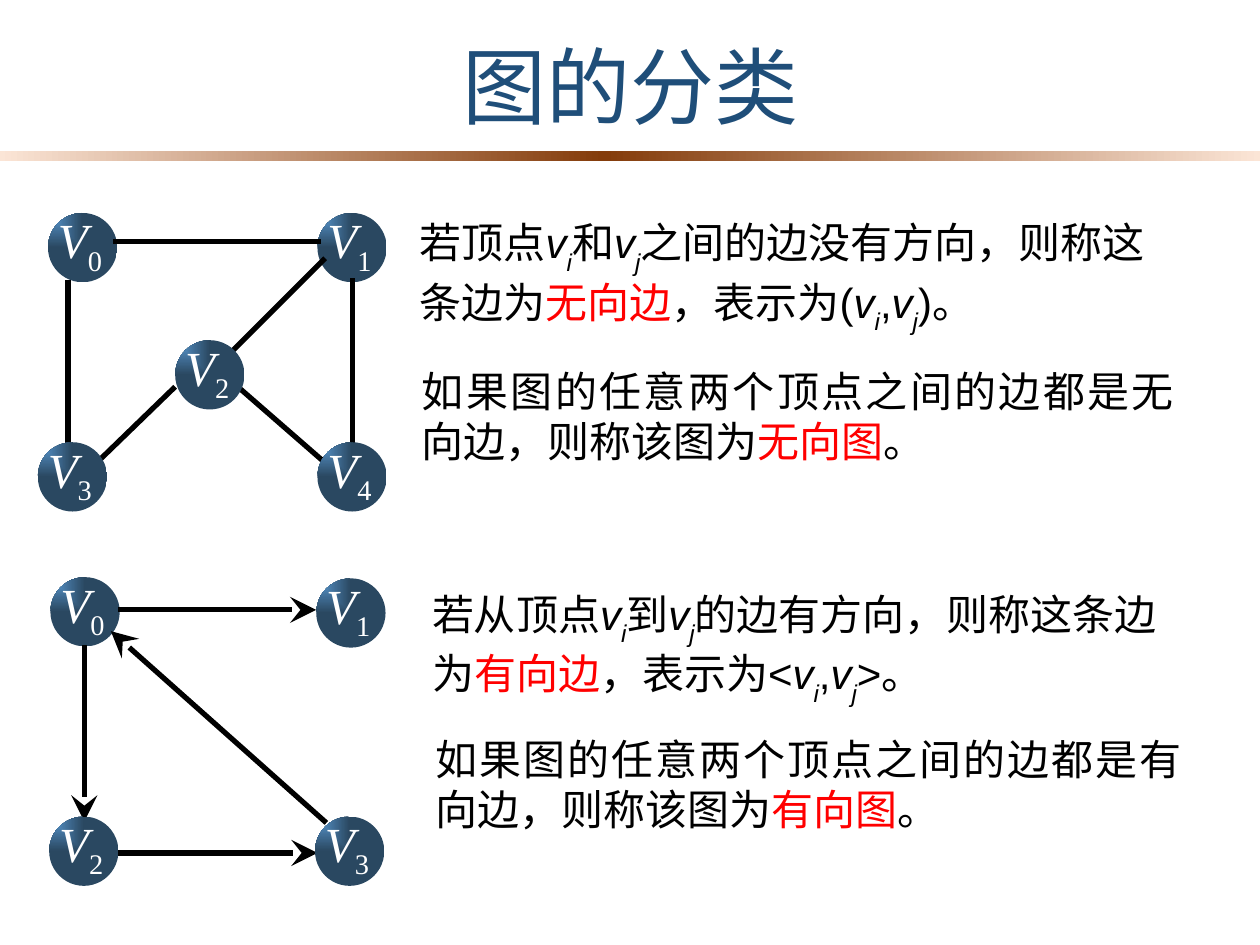
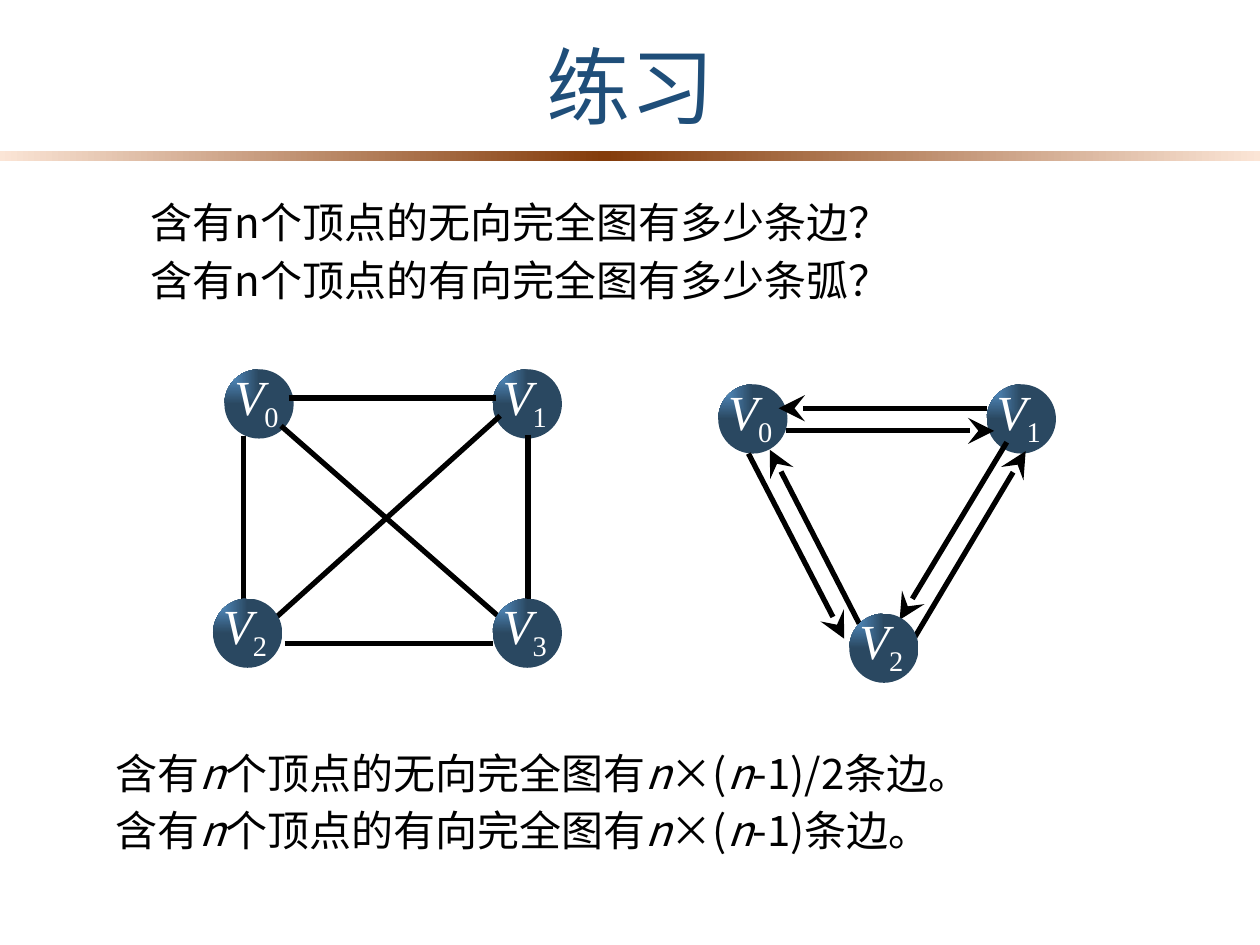
from dataclasses import dataclass

from pptx import Presentation
from pptx.dml.color import RGBColor
from pptx.enum.lang import MSO_LANGUAGE_ID as Language
from pptx.enum.shapes import MSO_CONNECTOR as Connector, MSO_SHAPE as Preset
from pptx.enum.text import MSO_ANCHOR as Anchor, MSO_AUTO_SIZE as AutoSize, PP_ALIGN as Align
from pptx.oxml import parse_xml
from pptx.oxml.ns import nsdecls, qn
from pptx.util import Pt


@dataclass(frozen=True)
class Theme:
    title: str = "1F4E79"
    ink: str = "000000"
    accent: str = "FF0000"
    label: str = "FFFFFF"
    band: tuple = ((0, "FBE5D6"), (48, "843C0B"), (100, "FBE5D6"))
    node: tuple = ((0, "5B9BD5"), (100, "2A4861"))
    font: str = "Arial"
    exercise_font: str = "Noto Sans CJK JP"
    label_font: str = "Times New Roman"
    title_size: int = 48
    body_size: int = 24
    label_size: int = 28
    edge_width: int = 3
    node_size: float = 39.6


THEME = Theme()
LINEAR = '<a:lin ang="0" scaled="0"/>'
FROM_CORNER = '<a:path path="rect"><a:fillToRect r="100000" b="100000"/></a:path>'


def add_span(para, text, size, font, color, italic=False, baseline=0):
    span = para.add_run()
    span.text = text
    span.font.size = Pt(size)
    span.font.name = font
    span.font.italic = italic
    span.font.color.rgb = RGBColor.from_string(color)
    span.font.language_id = Language.SIMPLIFIED_CHINESE
    properties = span.font._element
    properties.find(qn("a:latin")).addnext(
        parse_xml(f'<a:ea {nsdecls("a")} typeface="{font}"/>'))
    if baseline:
        properties.set("baseline", str(baseline * 1000))


def add_gradient_shape(page, preset, left, top, width, height, stops, direction):
    shape = page.shapes.add_shape(preset, Pt(left), Pt(top), Pt(width), Pt(height))
    shape.shadow.inherit = False
    shape.line.fill.background()
    marks = "".join(f'<a:gs pos="{place * 1000}"><a:srgbClr val="{color}"/></a:gs>'
                    for place, color in stops)
    shape._element.spPr.find(qn("a:prstGeom")).addnext(parse_xml(
        f'<a:gradFill {nsdecls("a")} rotWithShape="1">'
        f'<a:gsLst>{marks}</a:gsLst>{direction}</a:gradFill>'))


def add_box(page, left, top, width, height, insets):
    box = page.shapes.add_textbox(Pt(left), Pt(top), Pt(width), Pt(height))
    frame = box.text_frame
    frame.word_wrap = True
    frame.vertical_anchor = Anchor.TOP
    frame.margin_left, frame.margin_top, frame.margin_right, frame.margin_bottom = map(Pt, insets)
    return frame


def add_page(deck, title):
    page = deck.slides.add_slide(deck.slide_layouts[5])
    add_gradient_shape(page, Preset.RECTANGLE, -0.7, 86.4, 720.7, 5.8, THEME.band, LINEAR)
    box = page.shapes.title
    box.left, box.top, box.width, box.height = Pt(64.8), Pt(13.7), Pt(591), Pt(69.8)
    box.text_frame.auto_size = AutoSize.NONE
    box.text_frame.vertical_anchor = Anchor.MIDDLE
    para = box.text_frame.paragraphs[0]
    para.alignment = Align.CENTER
    para.space_before = para.space_after = Pt(10)
    add_span(para, title, THEME.title_size, THEME.font, THEME.title)
    return page


def add_text(page, place, lines, font=THEME.font, insets=(7.2, 3.6, 7.2, 3.6),
             align=Align.LEFT, pitch=None):
    styles = {
        "plain": {"color": THEME.ink},
        "term": {"color": THEME.accent},
        "symbol": {"color": THEME.ink, "italic": True},
        "index": {"color": THEME.ink, "italic": True, "baseline": -30},
    }
    frame = add_box(page, *place, insets)
    frame.auto_size = AutoSize.SHAPE_TO_FIT_TEXT
    for number, line in enumerate(lines):
        para = frame.add_paragraph() if number else frame.paragraphs[0]
        para.alignment = align
        if pitch:
            para.line_spacing = Pt(pitch)
        for text, style in line:
            add_span(para, text, THEME.body_size, font, **styles[style])


def add_node(page, number, left, top):
    size = THEME.node_size
    add_gradient_shape(page, Preset.OVAL, left, top, size, size, THEME.node, FROM_CORNER)
    frame = add_box(page, left + 5, top - 4, 36.7, 46.8, (0.7, 2.2, 0, 0.7))
    para = frame.paragraphs[0]
    para.alignment = Align.JUSTIFY
    look = (THEME.label_size, THEME.label_font, THEME.label)
    add_span(para, "V", *look, italic=True)
    add_span(para, str(number), *look, baseline=-25)


def add_edge(page, ends, directed):
    edge = page.shapes.add_connector(Connector.STRAIGHT, *map(Pt, ends))
    edge.line.color.rgb = RGBColor.from_string(THEME.ink)
    edge.line.width = Pt(THEME.edge_width)
    if directed:
        edge.line._get_or_add_ln().append(parse_xml(
            f'<a:tailEnd {nsdecls("a")} type="stealth" w="lg" len="lg"/>'))
    edge._element.spPr.append(parse_xml(f'<a:effectLst {nsdecls("a")}/>'))


def add_graph(page, nodes, edges, directed=False):
    numbered = list(enumerate(nodes))
    for number, corner in numbered[:2]:
        add_node(page, number, *corner)
    for ends in edges:
        add_edge(page, ends, directed)
    for number, corner in numbered[2:]:
        add_node(page, number, *corner)


def vertex(index):
    return [("v", "symbol"), (index, "index")]


def edge_definition(start, link, middle, term, opening, closing):
    return [(start, "plain"), *vertex("i"), (link, "plain"), *vertex("j"),
            (middle, "plain"), (term, "term"), (f"，表示为{opening}", "plain"),
            *vertex("i"), (",", "plain"), *vertex("j"), (f"{closing}。", "plain")]


def graph_definition(kind):
    return [(f"如果图的任意两个顶点之间的边都是{kind}边，则称该图为", "plain"),
            (f"{kind}图", "term"), ("。", "plain")]


def edge_count(kind, tail):
    return [("含有", "plain"), ("n", "symbol"), (f"个顶点的{kind}完全图有", "plain"),
            ("n", "symbol"), ("×(", "plain"), ("n", "symbol"), (tail, "plain")]


def build_classes(deck):
    page = add_page(deck, "图的分类")
    flush = (0, 3.6, 0, 3.6)
    add_text(page, (234, 205.2, 444.2, 65.5), [graph_definition("无向")], align=Align.JUSTIFY)
    add_text(page, (239.8, 120.2, 437.8, 65.5), [edge_definition(
        "若顶点", "和", "之间的边没有方向，则称这条边为", "无向边", "(", ")")], insets=flush)
    add_text(page, (239.8, 332.6, 444.2, 65.5), [edge_definition(
        "若从顶点", "到", "的边有方向，则称这条边为", "有向边", "<", ">")])
    add_text(page, (249.1, 415.4, 426.2, 65.5), [graph_definition("有向")],
             insets=flush, align=Align.JUSTIFY)
    add_graph(page,
              [(27.4, 121.7), (181.4, 121.7), (100.1, 194.4), (21.6, 252.7), (181.4, 252.7)],
              [(64.8, 138.2, 183.6, 138.2), (100.1, 221, 54.7, 265),
               (201.6, 159.1, 201.6, 256.3), (185.8, 147.6, 133.2, 200.2),
               (136.8, 221.8, 187.2, 265.7), (38.9, 159.8, 38.9, 254.9)])
    add_graph(page,
              [(28.8, 329.8), (180.7, 330.5), (28.1, 466.6), (180, 466.6)],
              [(67.7, 348.5, 180.7, 348.5), (48.2, 368.6, 48.2, 469.4),
               (65.5, 487.4, 181.4, 487.4), (186.5, 470.2, 63.4, 360.7)], directed=True)


def build_exercise(deck):
    page = add_page(deck, "练习")
    exercise = {"font": THEME.exercise_font, "insets": (7.2, 1.6, 7.2, 3.6), "pitch": 33}
    add_text(page, (79.2, 106.6, 540, 71.3),
             [[(f"含有n个顶点的{kind}完全图有多少条{name}？", "plain")]
              for kind, name in (("无向", "边"), ("有向", "弧"))],
             align=Align.JUSTIFY, **exercise)
    add_text(page, (59, 421.2, 612.7, 71.3),
             [edge_count("无向", "-1)/2条边。"), edge_count("有向", "-1)条边。")], **exercise)
    add_graph(page,
              [(128.2, 211), (281.5, 211), (121.7, 342), (281.5, 342)],
              [(285.8, 237.6, 157, 353.5), (164.9, 227.5, 283.7, 227.5),
               (301.7, 248.4, 301.7, 345.6), (160.6, 243.4, 288, 355),
               (139, 249.1, 139, 344.2), (162.7, 367.9, 281.5, 367.9)])
    add_graph(page,
              [(410.4, 219.6), (563.8, 219.6), (485.3, 350.6)],
              [(521.3, 366.5, 586.1, 257.8), (575.3, 252.7, 514.1, 354.2),
               (427.7, 259.2, 482.4, 365), (491, 356.4, 439.9, 257),
               (449.3, 246.2, 568.1, 246.2), (563.8, 233.3, 445, 233.3)], directed=True)


def main():
    deck = Presentation()
    deck.slide_width, deck.slide_height = Pt(720), Pt(540)
    build_classes(deck)
    build_exercise(deck)
    deck.save("out.pptx")


if __name__ == "__main__":
    main()
